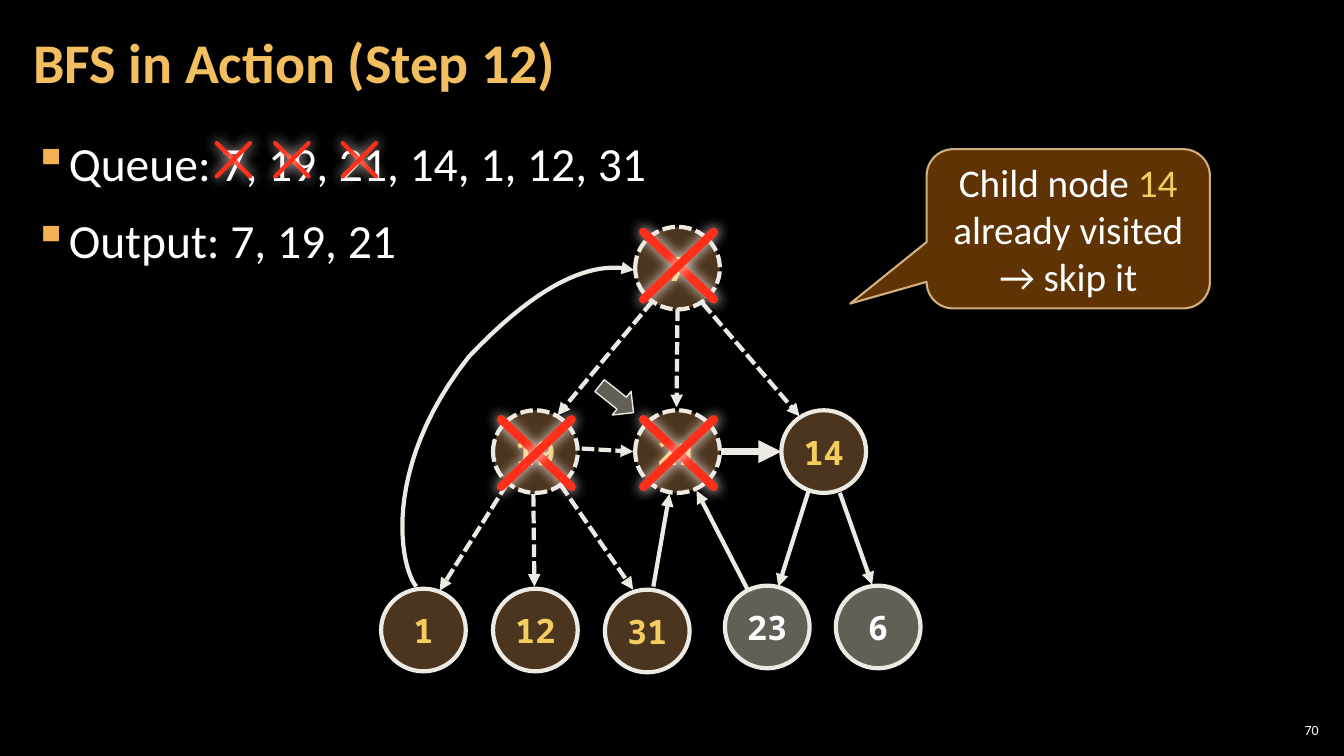
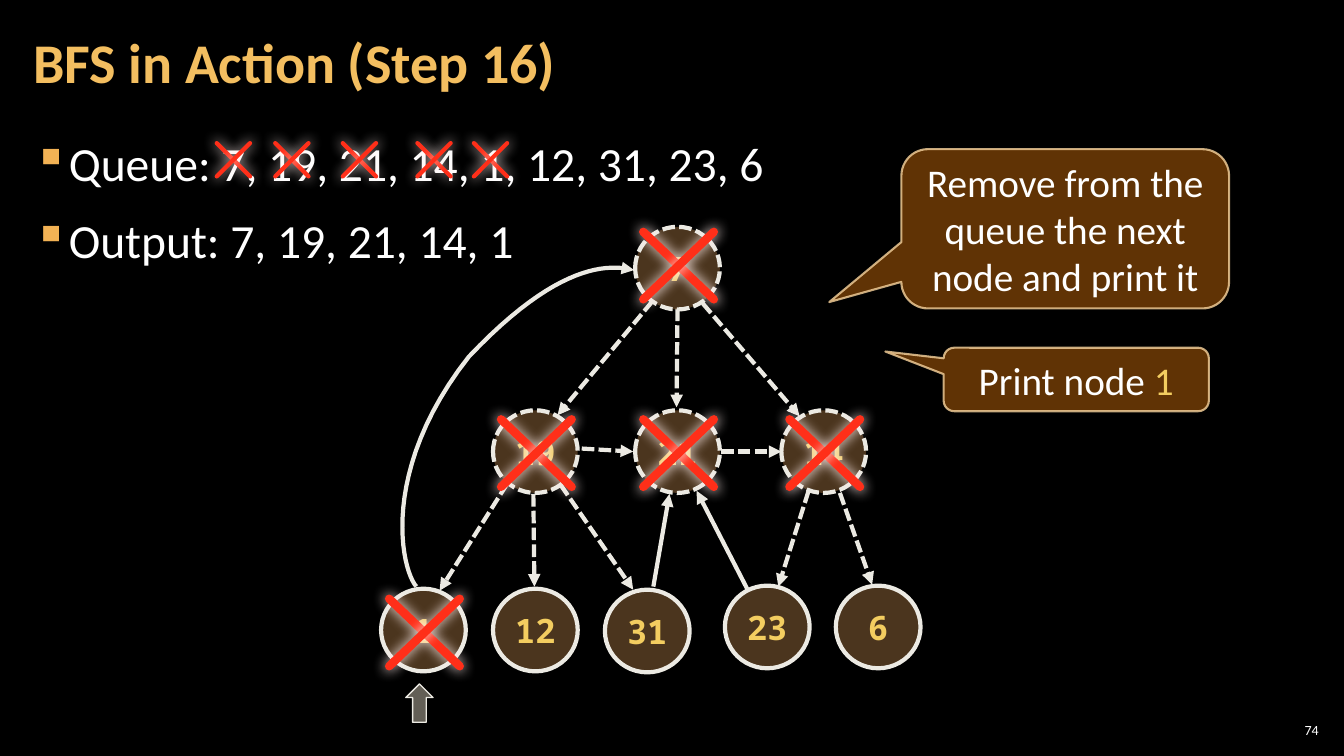
from lxml import etree
from pptx import Presentation
from pptx import util as u
from pptx.dml.color import RGBColor
from pptx.enum import dml, shapes, text
from pptx.oxml.ns import qn

PX = 9144  # EMU per px, 100 px to the inch
COLORS = {
    "background": "000000", "white": "FFFFFF", "title": "F3BE60",
    "bullet": "F2B254", "highlight": "F3CD60", "edge": "ECEAE3",
    "visited": "6C4C2C", "unvisited": "C7BFAC", "cross": "FF2F19",
    "glow": "FFEDEB", "callout": "663606", "callout_edge": "F8D49E",
}
BODY_FONT, NODE_FONT = "Calibri", "Noto Sans Mono"

# Graph: left, top, top of the cross
NODE_W, NODE_H = 84, 82
NODES = {
    7: (630, 225, 230),
    19: (489, 407, 416), 21: (630, 407, 416), 14: (775, 407, 416),
    1: (378, 584, 594), 12: (489, 584, 594), 31: (600, 585, 595),
    23: (719, 581, 591), 6: (829, 581, 591),
}
EDGES = {
    (7, 19): (647, 299, 553, 412), (7, 21): (672, 306, 671, 404),
    (7, 14): (697, 301, 793, 413), (19, 1): (503, 480, 436, 586),
    (19, 12): (529, 490, 530, 582), (19, 31): (556, 481, 628, 585),
    (19, 21): (577, 445, 628, 448), (21, 14): (715, 448, 775, 448),
    (14, 23): (802, 487, 772, 582), (14, 6): (833, 489, 865, 580),
    (31, 21): (648, 582, 664, 490), (23, 21): (741, 584, 691, 487),
}
BACK_EDGE = [  # cubic curves from node 1 up to node 7
    ((413, 582), (398, 565), (376, 467), (465, 354)),
    ((465, 354), (554, 260), (604, 262), (629, 268)),
]
QUEUE_CROSS_LEFTS = (215, 273, 340, 414, 470)

STEPS = [
    dict(title="BFS in Action (Step 12)", number="70",
         queue="Queue: 7, 19, 21, 14, 1, 12, 31", output="Output: 7, 19, 21",
         removed=(7, 19, 21), expanded=(7, 19, 21), unvisited=(23, 6),
         active=(21, 14), pointer=((590, 381, 43, 30), 38.5),
         callouts=[((919, 148, 281, 158), (-0.77, 0.47),
                    [("Child node ", "white"), ("14", "highlight"),
                     (" already visited → skip it", "white")])]),
    dict(title="BFS in Action (Step 16)", number="74",
         queue="Queue: 7, 19, 21, 14, 1, 12, 31, 23, 6",
         output="Output: 7, 19, 21, 14, 1",
         removed=(7, 19, 21, 14, 1), expanded=(7, 19, 21, 14), unvisited=(),
         active=None, pointer=((397, 684, 38, 27), 270),
         callouts=[((894, 148, 325, 158), (-0.72, 0.46),
                    [("Remove from the queue the next node and print it", "white")]),
                   ((936, 345, 263, 63), (-0.72, -0.44),
                    [("Print node ", "white"), ("1", "highlight")])]),
]


def px(*lengths):
    return [u.Emu(round(length * PX)) for length in lengths]


def rgb(name):
    return RGBColor.from_string(COLORS[name])


# Formatting
def add_alpha(fill_parent, percent):
    color = fill_parent.find(qn("a:solidFill")).find(qn("a:srgbClr"))
    etree.SubElement(color, qn("a:alpha"), val=str(percent * 1000))


def style_line(shape, color, width, dashed=False, arrow=False, alpha=None, cap=None):
    shape.line.color.rgb = rgb(color)
    shape.line.width = u.Pt(width)
    if dashed:
        shape.line.dash_style = dml.MSO_LINE.SQUARE_DOT
    ln = shape.element.spPr.find(qn("a:ln"))
    if alpha:
        add_alpha(ln, alpha)
    if cap:
        ln.set("cap", cap)
    if arrow:
        etree.SubElement(ln, qn("a:tailEnd"), type="triangle")


def add_bullet(paragraph):
    properties = paragraph._p.get_or_add_pPr()
    properties.set("marL", str(33 * PX))
    properties.set("indent", str(-33 * PX))
    color = etree.SubElement(properties, qn("a:buClr"))
    etree.SubElement(color, qn("a:srgbClr"), val=COLORS["bullet"])
    etree.SubElement(properties, qn("a:buChar"), char="▪")


def write_text(frame, paragraphs, size, font=BODY_FONT, bold=False,
               align=text.PP_ALIGN.LEFT, anchor=text.MSO_ANCHOR.MIDDLE,
               insets=None, wrap=True, spacing=None, gap=0, bullets=False):
    """Each paragraph is a list of (words, colour name) runs."""
    frame.word_wrap = wrap
    frame.vertical_anchor = anchor
    if insets:
        (frame.margin_left, frame.margin_top,
         frame.margin_right, frame.margin_bottom) = px(*insets)
    for index, runs in enumerate(paragraphs):
        paragraph = frame.add_paragraph() if index else frame.paragraphs[0]
        if bullets:
            add_bullet(paragraph)
        paragraph.alignment = align
        if spacing:
            paragraph.line_spacing = spacing
        if index and gap:
            paragraph.space_before = u.Pt(gap)
        for words, color in runs:
            run = paragraph.add_run()
            run.text = words
            run.font.name, run.font.size, run.font.bold = font, u.Pt(size), bold
            run.font.color.rgb = rgb(color)


# Elements
def add_text(slide, box, paragraphs, size, **text_format):
    frame = slide.shapes.add_textbox(*px(*box)).text_frame
    write_text(frame, paragraphs, size, **text_format)


def add_filled(slide, preset, box, fill, alpha):
    shape = slide.shapes.add_shape(preset, *px(*box))
    shape.shadow.inherit = False
    shape.fill.solid()
    shape.fill.fore_color.rgb = rgb(fill)
    add_alpha(shape.element.spPr, alpha)
    return shape


def add_line(slide, ends, color, width, glow=False, **line_format):
    line = slide.shapes.add_connector(shapes.MSO_CONNECTOR.STRAIGHT, *px(*ends))
    style_line(line, color, width, **line_format)
    effects = etree.SubElement(line.element.spPr, qn("a:effectLst"))
    if glow:
        halo = etree.SubElement(effects, qn("a:outerShdw"), blurRad=str(u.Pt(10)),
                                dist="0", dir="5400000", algn="ctr", rotWithShape="0")
        etree.SubElement(halo, qn("a:srgbClr"), val=COLORS["glow"])


def add_cross(slide, left, top, width, height, weight):
    right, bottom = left + width, top + height
    for ends in ((left, top, right, bottom), (right, top, left, bottom)):
        add_line(slide, ends, "cross", weight, glow=True, cap="rnd")


def add_node(slide, value, visited, dashed):
    left, top, _ = NODES[value]
    fill, alpha, color = (("visited", 70, "highlight") if visited
                          else ("unvisited", 50, "white"))
    node = add_filled(slide, shapes.MSO_SHAPE.OVAL, (left, top, NODE_W, NODE_H), fill, alpha)
    style_line(node, "edge", 3, dashed=dashed)
    write_text(node.text_frame, [[(str(value), color)]], 24, font=NODE_FONT,
               bold=True, align=text.PP_ALIGN.CENTER, wrap=False)


def add_back_edge(slide, steps=24):
    points = []
    for curve in BACK_EDGE:
        for step in range(1, steps + 1):
            t = step / steps
            weights = ((1 - t) ** 3, 3 * t * (1 - t) ** 2, 3 * t * t * (1 - t), t ** 3)
            points.append(px(*(sum(w * point[axis] for w, point in zip(weights, curve))
                               for axis in (0, 1))))
    builder = slide.shapes.build_freeform(*px(*BACK_EDGE[0][0]), scale=1.0)
    builder.add_line_segments(points, close=False)
    back_edge = builder.convert_to_shape()
    back_edge.shadow.inherit = False
    back_edge.fill.background()
    style_line(back_edge, "edge", 3, arrow=True)


def add_callout(slide, box, tip, runs):
    callout = add_filled(slide, shapes.MSO_SHAPE.ROUNDED_RECTANGULAR_CALLOUT,
                         box, "callout", 95)
    callout.adjustments[0], callout.adjustments[1] = tip
    style_line(callout, "callout_edge", 1.5, alpha=80)
    write_text(callout.text_frame, [runs], 28, align=text.PP_ALIGN.CENTER)


def add_pointer(slide, box, angle):
    pointer = add_filled(slide, shapes.MSO_SHAPE.RIGHT_ARROW, box, "unvisited", 50)
    pointer.rotation = angle
    style_line(pointer, "edge", 1)


# Slide parts
def add_headings(slide, step):
    add_text(slide, (1265, 714, 47, 21), [[(step["number"], "white")]], 10,
             align=text.PP_ALIGN.RIGHT, insets=(4, 4, 4, 4))
    add_text(slide, (21, 126, 1291, 609),
             [[(step["queue"], "white")], [(step["output"], "white")]], 34,
             anchor=text.MSO_ANCHOR.TOP, insets=(12, 4, 12, 4),
             spacing=1.05, gap=12, bullets=True)
    add_text(slide, (21, 4, 1047, 121), [[(step["title"], "title")]], 40,
             bold=True, insets=(12, 4, 12, 4), spacing=0.9)
    for left, _ in zip(QUEUE_CROSS_LEFTS, step["removed"]):
        add_cross(slide, left, 142, 33, 33, 3)


def add_graph(slide, step):
    for edge, ends in EDGES.items():
        active = edge == step["active"]
        add_line(slide, ends, "edge", 5.5 if active else 3, arrow=True,
                 dashed=edge[0] in step["expanded"] and not active)
    for value in NODES:
        add_node(slide, value, value not in step["unvisited"], value in step["expanded"])
    for value in step["removed"]:
        left, _, cross_top = NODES[value]
        add_cross(slide, left + 8, cross_top, 70, 67, 6)
    add_back_edge(slide)


def main():
    prs = Presentation()
    prs.slide_width, prs.slide_height = px(1333, 750)
    background = prs.slide_master.background.fill
    background.solid()
    background.fore_color.rgb = rgb("background")
    for step in STEPS:
        slide = prs.slides.add_slide(prs.slide_layouts[6])
        add_headings(slide, step)
        add_graph(slide, step)
        for callout in step["callouts"]:
            add_callout(slide, *callout)
        add_pointer(slide, *step["pointer"])
    prs.save("out.pptx")


if __name__ == "__main__":
    main()
